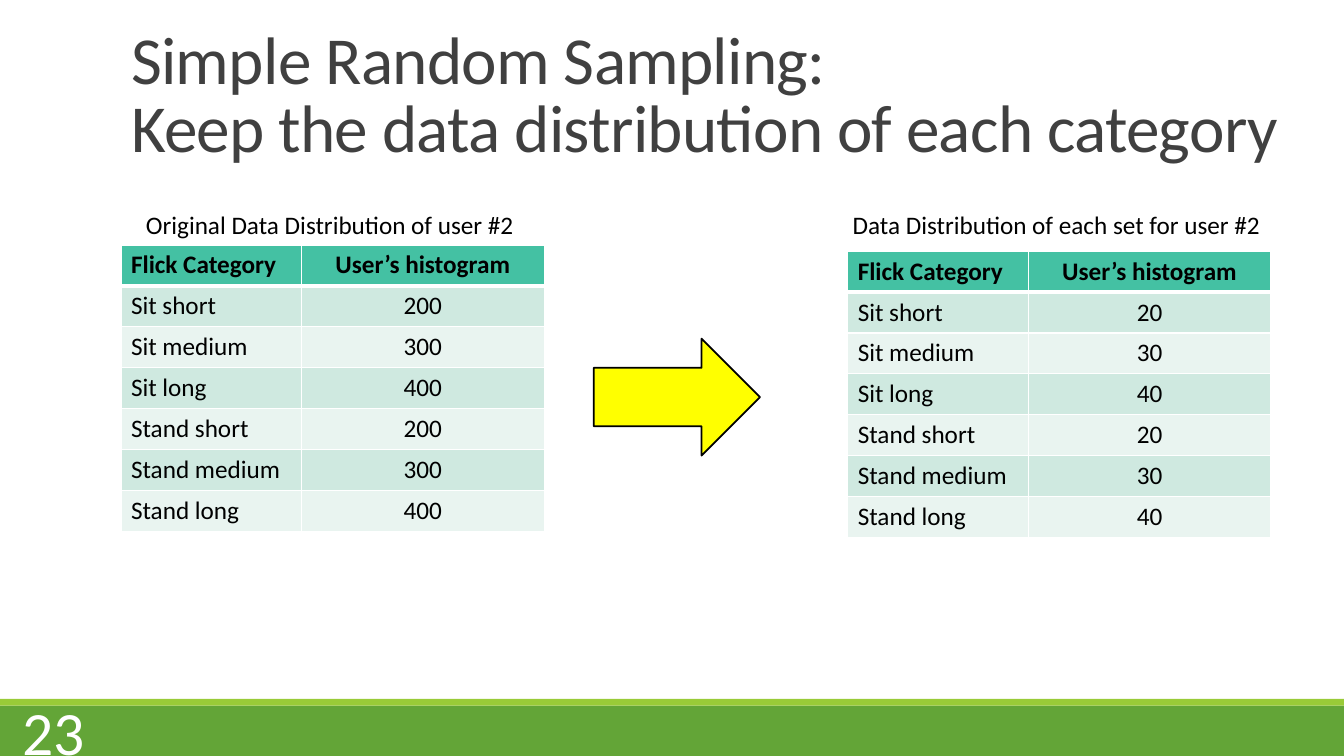
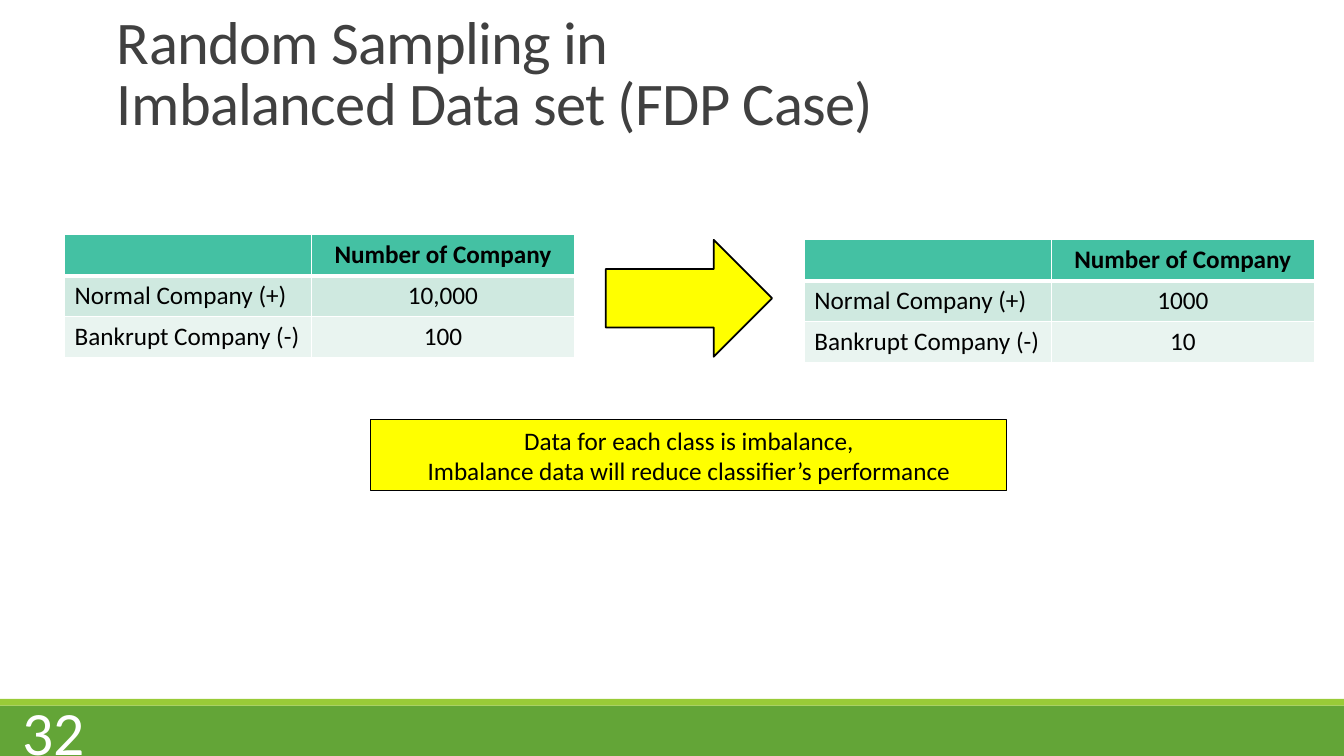
from dataclasses import dataclass
from typing import NamedTuple

from lxml import etree
from pptx import Presentation, util as u
from pptx.dml.color import RGBColor
from pptx.enum import shapes, text
from pptx.oxml.ns import qn

# Grid: 80 columns by 45 rows of square cells
COLUMNS, ROWS = 80, 45
CELL = u.Inches(7.5) / ROWS
ROW_HEIGHT = 2.44
LEFT, CENTER, RIGHT = text.PP_ALIGN.LEFT, text.PP_ALIGN.CENTER, text.PP_ALIGN.RIGHT


@dataclass(frozen=True)
class Theme:
    font: str = "Calibri"
    title_color: str = "404040"
    ink: str = "000000"
    paper: str = "FFFFFF"
    band: str = "63A537"
    stripe: str = "99CB38"
    highlight: str = "FFFF00"
    header: str = "44C1A3"
    odd_row: str = "CFE9E0"
    even_row: str = "E9F4F0"
    title_size: float = 48
    small_title_size: float = 43.2
    body_size: float = 18
    number_size: float = 44
    arrow_line: float = 1.25
    note_line: float = 0.75
    rule: float = 1
    header_rule: float = 3


THEME = Theme()


class Box(NamedTuple):
    col: float
    row: float
    cols: float
    rows: float

    def emu(self) -> list[int]:
        return [grid(value) for value in self]


@dataclass(frozen=True)
class Histogram:
    col: float
    row: float
    widths: tuple[float, float]
    header: tuple[str, str]
    names: tuple[str, ...]
    counts: tuple[str, ...]


@dataclass(frozen=True)
class Label:
    box: Box
    words: str


@dataclass(frozen=True)
class Page:
    number: str
    title: str
    title_box: Box
    title_size: float
    arrow: tuple[float, float]
    histograms: tuple[Histogram, ...]
    labels: tuple[Label, ...] = ()
    note: Label | None = None


def grid(cells: float) -> int:
    return round(cells * CELL)


def apply(target, formats: dict) -> None:
    for name, value in formats.items():
        setattr(target, name, value)


def style_text(frame, size: float, color: str = THEME.ink,
               align=LEFT, bold: bool = False) -> None:
    for paragraph in frame.paragraphs:
        paragraph.alignment = align
        for run in paragraph.runs:
            apply(run.font, {"name": THEME.font, "size": u.Pt(size), "bold": bold})
            run.font.color.rgb = RGBColor.from_string(color)


def add_block(slide, kind, box: Box, fill: str, line: float = 0):
    block = slide.shapes.add_shape(kind, *box.emu())
    block.shadow.inherit = False
    block.fill.solid()
    block.fill.fore_color.rgb = RGBColor.from_string(fill)
    if line:
        block.line.width = u.Pt(line)
        block.line.color.rgb = RGBColor.from_string(THEME.ink)
    else:
        block.line.fill.background()
    return block


def add_title(slide, page: Page) -> None:
    title = slide.shapes.title
    apply(title, dict(zip(("left", "top", "width", "height"), page.title_box.emu())))
    frame = title.text_frame
    frame.text = page.title
    apply(frame, {"word_wrap": True, "auto_size": text.MSO_AUTO_SIZE.NONE,
                  "vertical_anchor": text.MSO_ANCHOR.BOTTOM})
    style_text(frame, page.title_size, THEME.title_color)
    for paragraph in frame.paragraphs:
        paragraph.line_spacing = 0.85
        for run in paragraph.runs:
            run.font._element.set("spc", "-50")


def add_footer(slide, number: str) -> None:
    rect = shapes.MSO_SHAPE.RECTANGLE
    add_block(slide, rect, Box(0, 42, COLUMNS, 3), THEME.band)
    add_block(slide, rect, Box(0, 41.6, COLUMNS, 0.4), THEME.stripe)
    frame = slide.shapes.add_textbox(*Box(0, 42.3, 5.64, 2.4).emu()).text_frame
    frame.text = number
    apply(frame, {"word_wrap": True, "vertical_anchor": text.MSO_ANCHOR.MIDDLE})
    style_text(frame, THEME.number_size, THEME.paper, RIGHT)


def add_label(slide, label: Label) -> None:
    frame = slide.shapes.add_textbox(*label.box.emu()).text_frame
    frame.text = label.words
    frame.word_wrap = False
    style_text(frame, THEME.body_size)


def set_borders(cell, top: float, bottom: float) -> None:
    props = cell._tc.get_or_add_tcPr()
    widths = {"a:lnL": THEME.rule, "a:lnR": THEME.rule, "a:lnT": top, "a:lnB": bottom}
    for tag, width in widths.items():
        line = etree.SubElement(props, qn(tag), w=str(u.Pt(width)))
        fill = etree.SubElement(line, qn("a:solidFill"))
        etree.SubElement(fill, qn("a:srgbClr"), val=THEME.paper)


def add_histogram(slide, histogram: Histogram) -> None:
    lines = [histogram.header, *zip(histogram.names, histogram.counts)]
    box = Box(histogram.col, histogram.row, sum(histogram.widths),
              ROW_HEIGHT * len(lines))
    table = slide.shapes.add_table(len(lines), 2, *box.emu()).table
    for column, width in zip(table.columns, histogram.widths):
        column.width = grid(width)
    for r, line in enumerate(lines):
        table.rows[r].height = grid(ROW_HEIGHT)
        fill = THEME.odd_row if r % 2 else THEME.even_row
        if r == 0:
            fill = THEME.header
        for c, words in enumerate(line):
            cell = table.cell(r, c)
            set_borders(cell, THEME.header_rule if r == 1 else THEME.rule,
                        THEME.header_rule if r == 0 else THEME.rule)
            cell.fill.solid()
            cell.fill.fore_color.rgb = RGBColor.from_string(fill)
            cell.text = words
            style_text(cell.text_frame, THEME.body_size,
                       align=CENTER if c else LEFT, bold=r == 0)


def add_note(slide, note: Label) -> None:
    block = add_block(slide, shapes.MSO_SHAPE.RECTANGLE, note.box,
                      THEME.highlight, THEME.note_line)
    block.text_frame.text = note.words
    block.text_frame.word_wrap = True
    style_text(block.text_frame, THEME.body_size, align=CENTER)


def add_page(deck, page: Page) -> None:
    slide = deck.slides.add_slide(deck.slide_layouts.get_by_name("Title Only"))
    add_title(slide, page)
    add_footer(slide, page.number)
    for histogram in page.histograms:
        add_histogram(slide, histogram)
    add_block(slide, shapes.MSO_SHAPE.RIGHT_ARROW, Box(*page.arrow, 9.9, 6.96),
              THEME.highlight, THEME.arrow_line)
    for label in page.labels:
        add_label(slide, label)
    if page.note:
        add_note(slide, page.note)


# Content
FLICKS = {
    "widths": (10.74, 14.46),
    "header": ("Flick Category", "User’s histogram"),
    "names": ("Sit short", "Sit medium", "Sit long",
              "Stand short", "Stand medium", "Stand long"),
}
COMPANIES = {
    "widths": (14.7, 15.66),
    "header": ("", "Number of Company"),
    "names": ("Normal Company (+)", "Bankrupt Company (-)"),
}
PAGES = (
    Page(
        number="23",
        title="Simple Random Sampling:\vKeep the data distribution of each category",
        title_box=Box(7.2, 0.66, 69.9, 9.54),
        title_size=THEME.title_size,
        arrow=(35.34, 20.16),
        histograms=(
            Histogram(7.2, 14.58, counts=("200", "300", "400") * 2, **FLICKS),
            Histogram(50.46, 14.94, counts=("20", "30", "40") * 2, **FLICKS),
        ),
        labels=(
            Label(Box(8.1, 12.18, 23.4, 2.4), "Original Data Distribution of user #2"),
            Label(Box(50.16, 12.18, 25.74, 2.4),
                  "Data Distribution of each set for user #2"),
        ),
    ),
    Page(
        number="32",
        title="Random Sampling in\vImbalanced Data set (FDP Case)",
        title_box=Box(6.36, 0.72, 66, 7.8),
        title_size=THEME.small_title_size,
        arrow=(36.06, 14.28),
        histograms=(
            Histogram(3.84, 13.98, counts=("10,000", "100"), **COMPANIES),
            Histogram(47.88, 14.28, counts=("1000", "10"), **COMPANIES),
        ),
        note=Label(Box(22.08, 24.96, 37.86, 4.26),
                   "Data for each class is imbalance,\n"
                   "Imbalance data will reduce classifier’s performance"),
    ),
)


def main() -> None:
    deck = Presentation()
    apply(deck, {"slide_width": grid(COLUMNS), "slide_height": grid(ROWS)})
    for page in PAGES:
        add_page(deck, page)
    deck.save("out.pptx")


if __name__ == "__main__":
    main()
